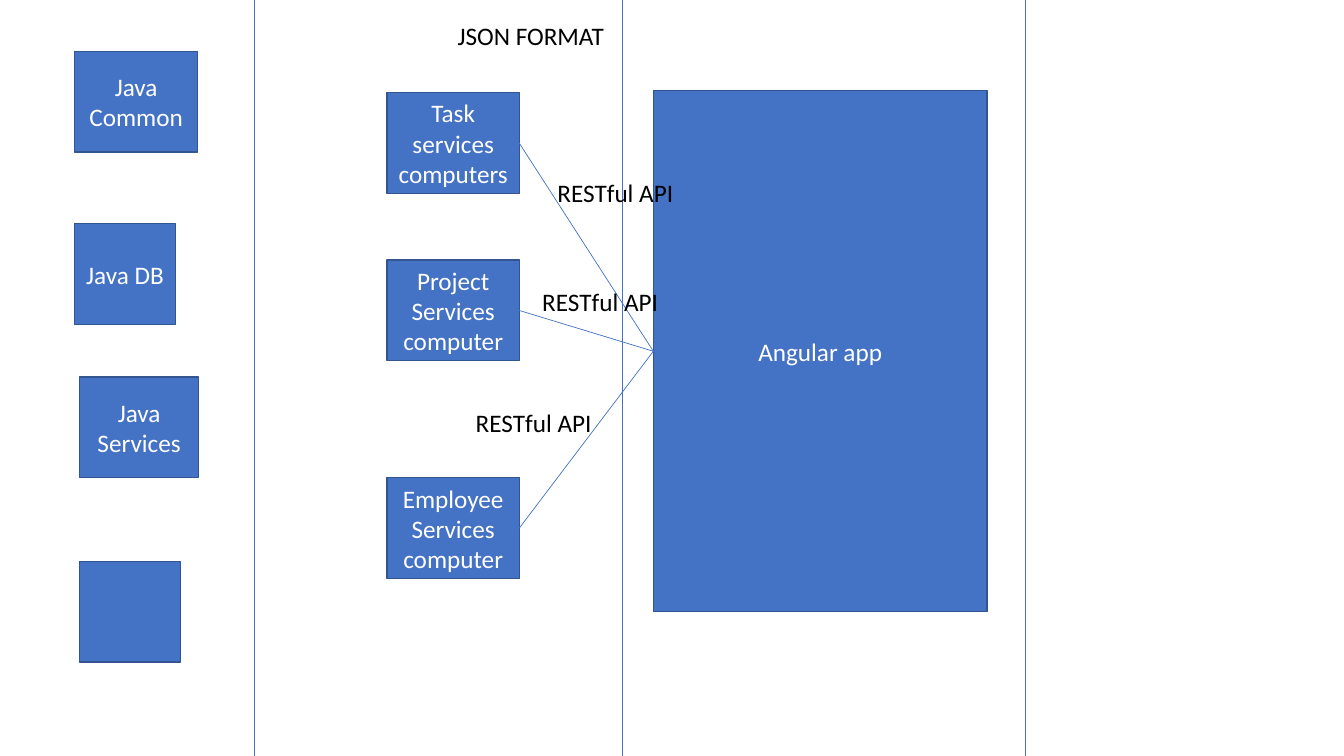
from lxml.etree import SubElement
from pptx import Presentation
from pptx.dml.color import RGBColor
from pptx.enum.shapes import MSO_CONNECTOR, MSO_SHAPE
from pptx.enum.text import MSO_ANCHOR, MSO_AUTO_SIZE, PP_ALIGN
from pptx.oxml.ns import qn
from pptx.util import Inches, Pt

BLUE = RGBColor(0x44, 0x72, 0xC4)
DARK_BLUE = RGBColor(0x32, 0x54, 0x91)
WHITE = RGBColor(0xFF, 0xFF, 0xFF)
BLACK = RGBColor(0x00, 0x00, 0x00)


class Diagram:
    """Draws boxes, lines and labels in one style on a slide."""

    font = {"name": "Calibri", "size": Pt(18)}
    box_frame = {"word_wrap": True, "vertical_anchor": MSO_ANCHOR.MIDDLE}
    label_frame = {"word_wrap": False, "auto_size": MSO_AUTO_SIZE.SHAPE_TO_FIT_TEXT}

    def __init__(self, slide):
        self.shapes = slide.shapes

    def apply(self, target, values):
        for name, value in values.items():
            setattr(target, name, value)

    def add_text(self, frame, text, layout, align, color):
        self.apply(frame, layout)
        paragraph = frame.paragraphs[0]
        paragraph.alignment = align
        run = paragraph.add_run()
        run.text = text
        self.apply(run.font, self.font)
        run.font.color.rgb = color

    def box(self, text, left, top, width, height=1):
        rect = self.shapes.add_shape(
            MSO_SHAPE.RECTANGLE, Inches(left), Inches(top), Inches(width), Inches(height))
        rect.shadow.inherit = False
        rect.fill.solid()
        rect.fill.fore_color.rgb = BLUE
        rect.line.color.rgb = DARK_BLUE
        rect.line.width = Pt(1)
        if text:
            self.add_text(rect.text_frame, text, self.box_frame, PP_ALIGN.CENTER, WHITE)
        return rect

    def label(self, text, left, top, width):
        caption = self.shapes.add_textbox(
            Inches(left), Inches(top), Inches(width), Inches(0.4))
        self.add_text(caption.text_frame, text, self.label_frame, PP_ALIGN.LEFT, BLACK)

    def line(self, x1=0, y1=0, x2=0, y2=0):
        connector = self.shapes.add_connector(
            MSO_CONNECTOR.STRAIGHT, Inches(x1), Inches(y1), Inches(x2), Inches(y2))
        connector.line.color.rgb = BLUE
        connector.line.width = Pt(0.5)
        SubElement(connector._element.spPr, qn("a:effectLst"))
        return connector

    def link(self, source, target):
        connector = self.line()
        connector.begin_connect(source, 1)
        connector.end_connect(target, 3)


def main():
    deck = Presentation()
    deck.slide_width, deck.slide_height = Inches(13.33), Inches(7.5)
    diagram = Diagram(deck.slides.add_slide(deck.slide_layouts[6]))

    for divider in (2.52, 6.17, 10.17):
        diagram.line(divider, 0, divider, 7.5)

    java_modules = [
        ("Java Common", 0.74, 0.51, 1.22),
        ("Java DB", 0.74, 2.22, 1),
        ("Java Services", 0.79, 3.74, 1.18),
        ("", 0.79, 5.57, 1),
    ]
    for module in java_modules:
        diagram.box(*module)

    angular_app = diagram.box("Angular app", 6.48, 0.9, 3.31, 5.17)

    services = [
        ("Task services computers", 0.92),
        ("Project Services computer", 2.58),
        ("Employee Services computer", 4.74),
    ]
    for service, top in services:
        diagram.link(angular_app, diagram.box(service, 3.84, top, 1.31))

    for left, top in ((5.43, 1.71), (5.28, 2.79), (4.62, 3.99)):
        diagram.label("RESTful API", left, top, 1.36)
    diagram.label("JSON FORMAT", 4.44, 0.15, 1.67)

    deck.save("out.pptx")


if __name__ == "__main__":
    main()
